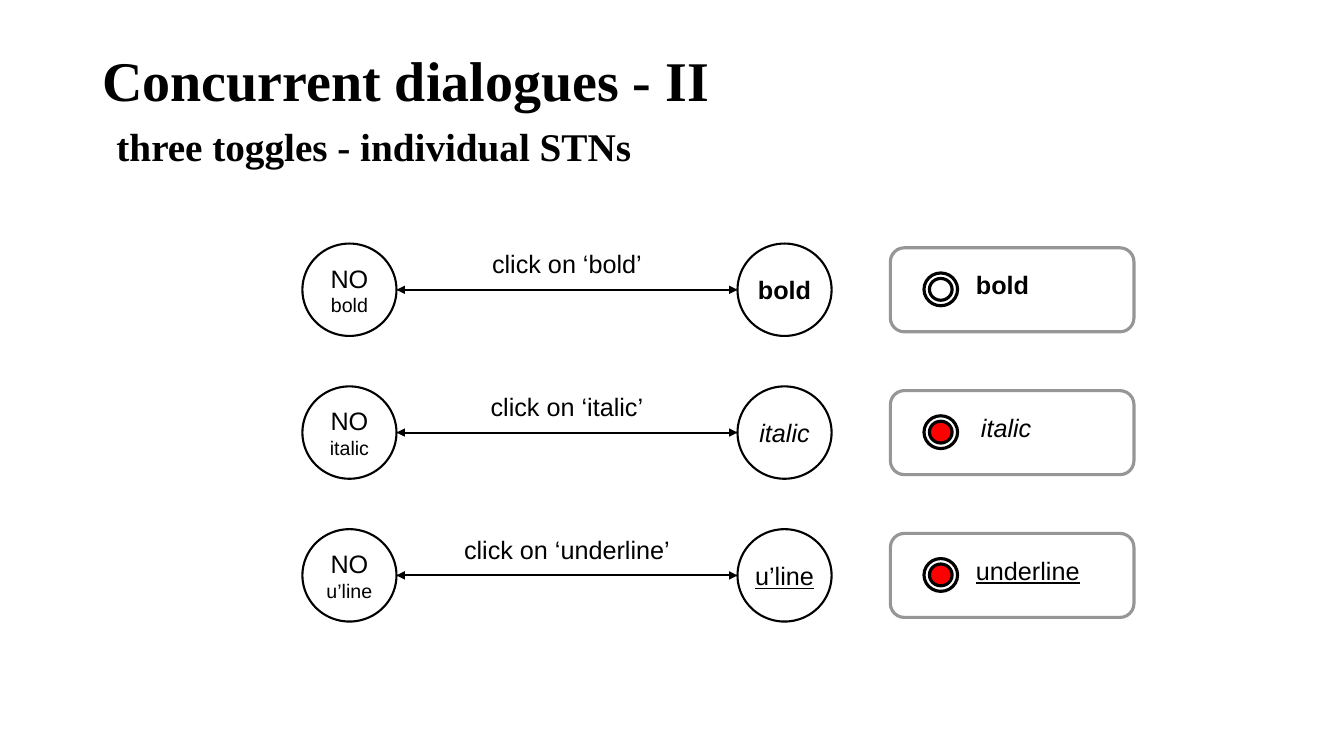
from dataclasses import dataclass

from lxml import etree
from pptx import Presentation
from pptx import util as u
from pptx.dml.color import RGBColor
from pptx.enum import shapes, text
from pptx.oxml.ns import qn

# Grid: 160 columns by 90 rows of one twelfth of an inch
CELL = u.Inches(1 / 12)
COLUMNS, ROWS = 160, 90
FIRST_ROW, ROW_PITCH = 29, 17
CIRCLE_WIDTH, CIRCLE_HEIGHT = 11.2, 11
OFF_COLUMN, ON_COLUMN, PANEL_COLUMN = 36, 87.8, 106
CLICK_CENTRE = 67.5
BLACK, WHITE, GREY, RED = "000000", "FFFFFF", "969696", "FF0000"


@dataclass
class Area:
    column: float
    row: float
    width: float
    height: float

    def lengths(self) -> list[int]:
        return [cells(n) for n in (self.column, self.row, self.width, self.height)]


@dataclass
class Toggle:
    name: str
    short: str
    style: dict
    light: str
    click_width: float
    label_column: float
    label_width: float


TOGGLES = [
    Toggle("bold", "bold", {"bold": True}, WHITE, 20.3, 115, 8.8),
    Toggle("italic", "italic", {"italic": True}, RED, 20.6, 115.6, 8.5),
    Toggle("underline", "u’line", {"underline": True}, RED, 26.9, 115, 14.9),
]


def cells(number: float) -> int:
    return round(number * CELL)


def colour(value: str) -> RGBColor:
    return RGBColor.from_string(value)


def add_run(paragraph, words: str, size: float, font: str = "Arial", **style) -> None:
    run = paragraph.add_run()
    run.text = words
    for name, value in {"name": font, "size": u.Pt(size), **style}.items():
        setattr(run.font, name, value)
    run.font.color.rgb = colour(BLACK)


def add_outline(slide, kind, area: Area, fill: str, line: str, width: float):
    shape = slide.shapes.add_shape(kind, *area.lengths())
    shape.shadow.inherit = False
    shape.fill.solid()
    shape.fill.fore_color.rgb = colour(fill)
    shape.line.color.rgb = colour(line)
    shape.line.width = u.Pt(width)
    return shape


def add_label(slide, area: Area, words: str, **style) -> None:
    box = slide.shapes.add_textbox(*area.lengths())
    box.text_frame.word_wrap = False
    box.text_frame.auto_size = text.MSO_AUTO_SIZE.SHAPE_TO_FIT_TEXT
    paragraph = box.text_frame.paragraphs[0]
    paragraph.alignment = style.pop("alignment", text.PP_ALIGN.LEFT)
    add_run(paragraph, words, 18, **style)


def add_state(slide, column: float, row: float, lines: list[tuple]) -> None:
    """Draw a state circle; each line is (words, size, style)."""
    area = Area(column, row, CIRCLE_WIDTH, CIRCLE_HEIGHT)
    circle = add_outline(slide, shapes.MSO_SHAPE.OVAL, area, WHITE, BLACK, 1.5)
    frame = circle.text_frame
    frame.word_wrap = False
    frame.vertical_anchor = text.MSO_ANCHOR.MIDDLE
    for index, (words, size, style) in enumerate(lines):
        paragraph = frame.add_paragraph() if index else frame.paragraphs[0]
        paragraph.alignment = text.PP_ALIGN.CENTER
        add_run(paragraph, words, size, **style)


def add_double_arrow(slide, start: float, end: float, row: float) -> None:
    arrow = slide.shapes.add_connector(
        shapes.MSO_CONNECTOR.STRAIGHT, cells(start), cells(row), cells(end), cells(row)
    )
    arrow.line.color.rgb = colour(BLACK)
    arrow.line.width = u.Pt(1.5)
    line = arrow.line._get_or_add_ln()
    for end_name in ("a:headEnd", "a:tailEnd"):
        etree.SubElement(line, qn(end_name), type="triangle")
    etree.SubElement(arrow._element.spPr, qn("a:effectLst"))


def add_network(slide, toggle: Toggle, row: float) -> None:
    add_state(slide, OFF_COLUMN, row, [("NO", 18, {}), (toggle.short, 14, {})])
    add_state(slide, ON_COLUMN, row, [(toggle.short, 18, toggle.style)])
    add_double_arrow(slide, OFF_COLUMN + CIRCLE_WIDTH, ON_COLUMN, row + CIRCLE_HEIGHT / 2)
    left = CLICK_CENTRE - toggle.click_width / 2
    add_label(slide, Area(left, row, toggle.click_width, 4.8),
              f"click on ‘{toggle.name}’", alignment=text.PP_ALIGN.CENTER)


def add_panel(slide, toggle: Toggle, row: float) -> None:
    kinds = shapes.MSO_SHAPE
    panel = Area(PANEL_COLUMN, row + 0.5, 29, 10)
    ring = Area(PANEL_COLUMN + 4, row + 3.5, 4, 3.9)
    light = Area(PANEL_COLUMN + 4.65, row + 4.15, 2.7, 2.6)
    add_outline(slide, kinds.ROUNDED_RECTANGLE, panel, WHITE, GREY, 2.25)
    add_outline(slide, kinds.OVAL, ring, WHITE, BLACK, 2.25)
    add_outline(slide, kinds.OVAL, light, toggle.light, BLACK, 2.25)
    add_label(slide, Area(toggle.label_column, row + 2.5, toggle.label_width, 4.8),
              toggle.name, **toggle.style)


def add_title(slide) -> None:
    title = slide.shapes.title
    title.left, title.top, title.width, title.height = Area(11, 4.8, 138, 17.4).lengths()
    frame = title.text_frame
    frame.auto_size = text.MSO_AUTO_SIZE.NONE
    frame.vertical_anchor = text.MSO_ANCHOR.MIDDLE
    paragraph = frame.paragraphs[0]
    paragraph.alignment = text.PP_ALIGN.LEFT
    paragraph.line_spacing = 0.9
    add_run(paragraph, "Concurrent dialogues - II", 40, "Times New Roman", bold=True)
    paragraph.add_line_break()
    add_run(paragraph, " ", 40, "Times New Roman", bold=True)
    add_run(paragraph, "three toggles - individual STNs", 28, "Times New Roman", bold=True)


def main() -> None:
    presentation = Presentation()
    presentation.slide_width = cells(COLUMNS)
    presentation.slide_height = cells(ROWS)
    slide = presentation.slides.add_slide(presentation.slide_layouts[5])
    add_title(slide)
    # One row per toggle: its network, then its panel
    for index, toggle in enumerate(TOGGLES):
        row = FIRST_ROW + index * ROW_PITCH
        add_network(slide, toggle, row)
        add_panel(slide, toggle, row)
    presentation.save("out.pptx")


if __name__ == "__main__":
    main()
